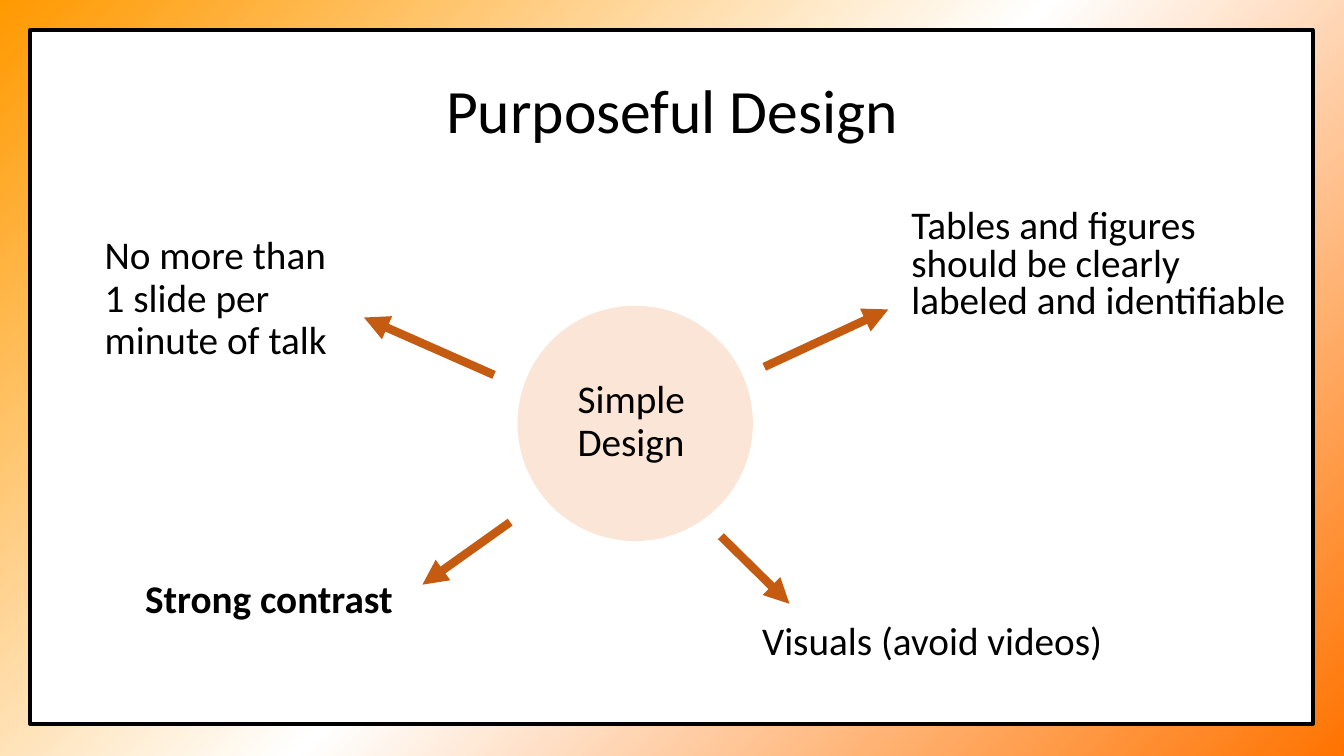
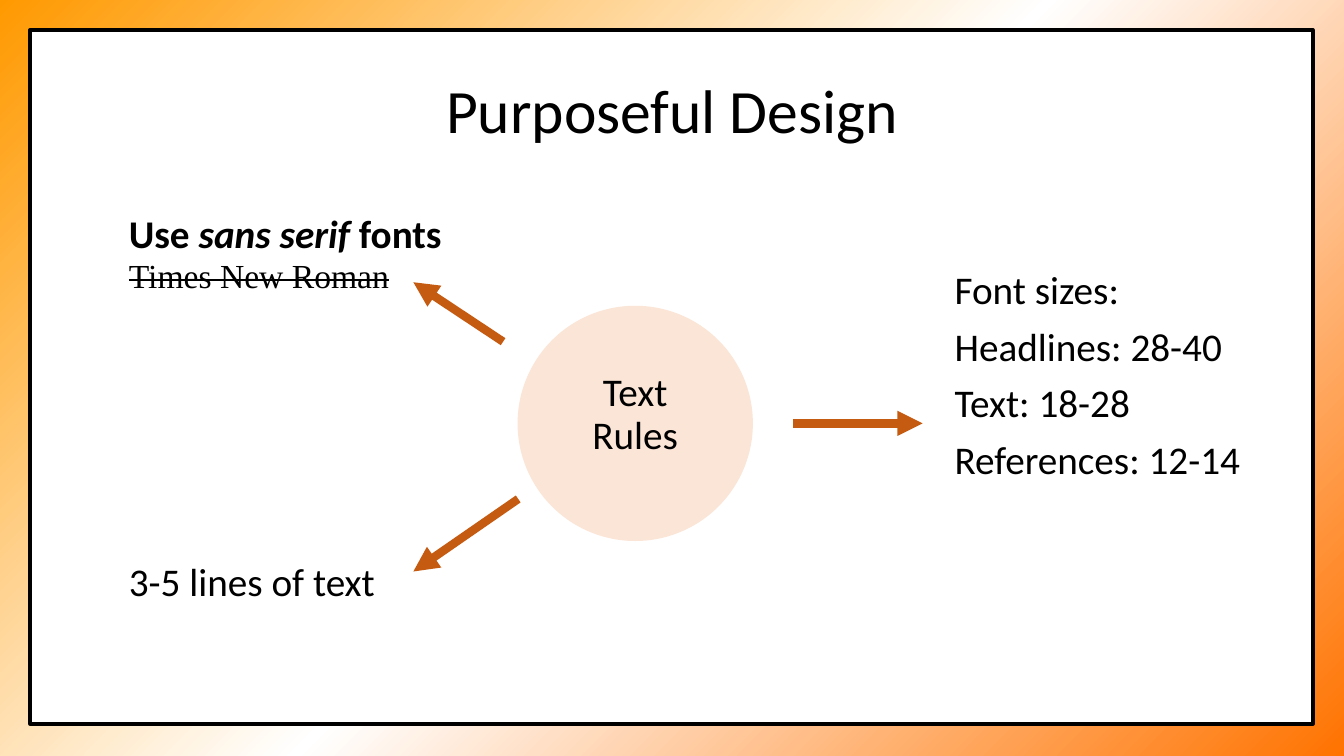
from lxml import etree
from pptx import Presentation
from pptx.dml.color import RGBColor
from pptx.enum.shapes import MSO_CONNECTOR, MSO_SHAPE
from pptx.enum.text import MSO_ANCHOR, PP_ALIGN
from pptx.oxml.ns import qn
from pptx.util import Inches, Pt

RECTANGLE, ELLIPSE = MSO_SHAPE.RECTANGLE, MSO_SHAPE.OVAL
STRAIGHT = MSO_CONNECTOR.STRAIGHT
LEFT, CENTER = PP_ALIGN.LEFT, PP_ALIGN.CENTER
TOP, MIDDLE = MSO_ANCHOR.TOP, MSO_ANCHOR.MIDDLE

BLACK, WHITE = "000000", "FFFFFF"
ARROW_COLOR, HUB_COLOR = "C55A11", "FBE5D6"
BACKGROUND_STOPS = [(0, "FF9900"), (50, WHITE), (100, "FF7300")]
FONT = "Calibri"


def rgb(value):
    return RGBColor.from_string(value)


def paint_background(slide):
    fill = slide.background.fill
    fill.gradient()
    fill.gradient_angle = 315
    stops = slide.element.find(".//" + qn("a:gsLst"))
    for stop in list(stops):
        stops.remove(stop)
    for percent, color in BACKGROUND_STOPS:
        stop = etree.SubElement(stops, qn("a:gs"), pos=str(percent * 1000))
        etree.SubElement(stop, qn("a:srgbClr"), val=color)


def add_panel(slide, kind, box, fill, line, line_width):
    panel = slide.shapes.add_shape(kind, *map(Inches, box))
    panel.shadow.inherit = False
    panel.fill.solid()
    panel.fill.fore_color.rgb = rgb(fill)
    panel.line.color.rgb = rgb(line)
    panel.line.width = Pt(line_width)


def add_text(slide, box, *paragraphs, size=28, font=FONT, bold=False,
             align=LEFT, anchor=TOP, spacing=0.9, wrap=True):
    """Add a text box; a paragraph is a string or a list of runs. Return its paragraphs."""
    frame = slide.shapes.add_textbox(*map(Inches, box)).text_frame
    frame.word_wrap = wrap
    frame.vertical_anchor = anchor
    for index, content in enumerate(paragraphs):
        paragraph = frame.add_paragraph() if index else frame.paragraphs[0]
        for text in [content] if isinstance(content, str) else content:
            paragraph.add_run().text = text
        paragraph.alignment = align
        paragraph.line_spacing = spacing
        if index:
            paragraph.space_before = Pt(10)
        paragraph.font.name = font
        paragraph.font.size = Pt(size)
        paragraph.font.bold = bold
        paragraph.font.color.rgb = rgb(BLACK)
    return frame.paragraphs


def add_arrow(slide, start, end):
    arrow = slide.shapes.add_connector(STRAIGHT, *map(Inches, start + end))
    arrow.line.color.rgb = rgb(ARROW_COLOR)
    arrow.line.width = Pt(6)
    properties = arrow.element.spPr
    etree.SubElement(properties.find(qn("a:ln")), qn("a:tailEnd"), type="triangle")
    etree.SubElement(properties, qn("a:effectLst"))


def add_hub_slide(deck, hub_text, hub_box, hub_align, arrows):
    """Add a slide with the shared frame and title, and arrows leaving a central hub."""
    slide = deck.slides.add_slide(deck.slide_layouts[6])
    paint_background(slide)
    add_panel(slide, RECTANGLE, (0.3, 0.3, 12.72, 6.88), WHITE, BLACK, 3)
    add_text(slide, (0.92, 0.4, 11.5, 1.45), "Purposeful Design",
             size=44, align=CENTER, anchor=MIDDLE)
    add_panel(slide, ELLIPSE, (5.14, 3.04, 2.32, 2.32), HUB_COLOR, HUB_COLOR, 1)
    add_text(slide, hub_box, hub_text, align=hub_align)
    for start, end in arrows:
        add_arrow(slide, start, end)
    return slide


def add_simple_design(deck):
    slide = add_hub_slide(deck, "Simple Design", (5.63, 3.72, 1.46, 1.09), LEFT, [
        ((4.9, 3.72), (3.61, 3.15)),
        ((7.58, 3.64), (8.81, 3.07)),
        ((5.06, 5.18), (4.19, 5.8)),
        ((7.15, 5.32), (7.83, 5.99)),
    ])
    add_text(slide, (0.94, 2.29, 2.56, 1.49), "No more than 1 slide per minute of talk")
    add_text(slide, (8.94, 2.03, 4.06, 1.3),
             "Tables and figures should be clearly labeled and identifiable", spacing=0.8)
    add_text(slide, (1.34, 5.7, 2.78, 0.81), "Strong contrast", bold=True)
    add_text(slide, (7.46, 6.12, 3.91, 0.81), "Visuals (avoid videos)")


def add_text_rules(deck):
    slide = add_hub_slide(deck, "Text Rules", (5.57, 3.65, 1.46, 1.09), CENTER, [
        ((4.99, 3.39), (4.1, 2.8)),
        ((7.87, 4.2), (9.15, 4.2)),
        ((5.14, 4.95), (4.1, 5.67)),
    ])
    advice, = add_text(slide, (1.18, 2.08, 3.67, 0.72),
                       ["Use ", "sans serif ", "fonts"], bold=True)
    advice.runs[1].font.italic = True
    rejected, = add_text(slide, (1.18, 2.48, 2.81, 0.5), "Times New Roman",
                         size=24, font="Times New Roman", spacing=1.0, wrap=False)
    rejected.runs[0].font._element.set("strike", "sngStrike")
    add_text(slide, (9.37, 2.64, 4.07, 2.31), "Font sizes:", "Headlines: 28-40",
             "Text: 18-28", "References: 12-14")
    add_text(slide, (1.18, 5.53, 2.91, 0.66), "3-5 lines of text")


def main():
    deck = Presentation()
    deck.slide_width, deck.slide_height = Inches(13.33), Inches(7.5)
    add_simple_design(deck)
    add_text_rules(deck)
    deck.save("out.pptx")


if __name__ == "__main__":
    main()
